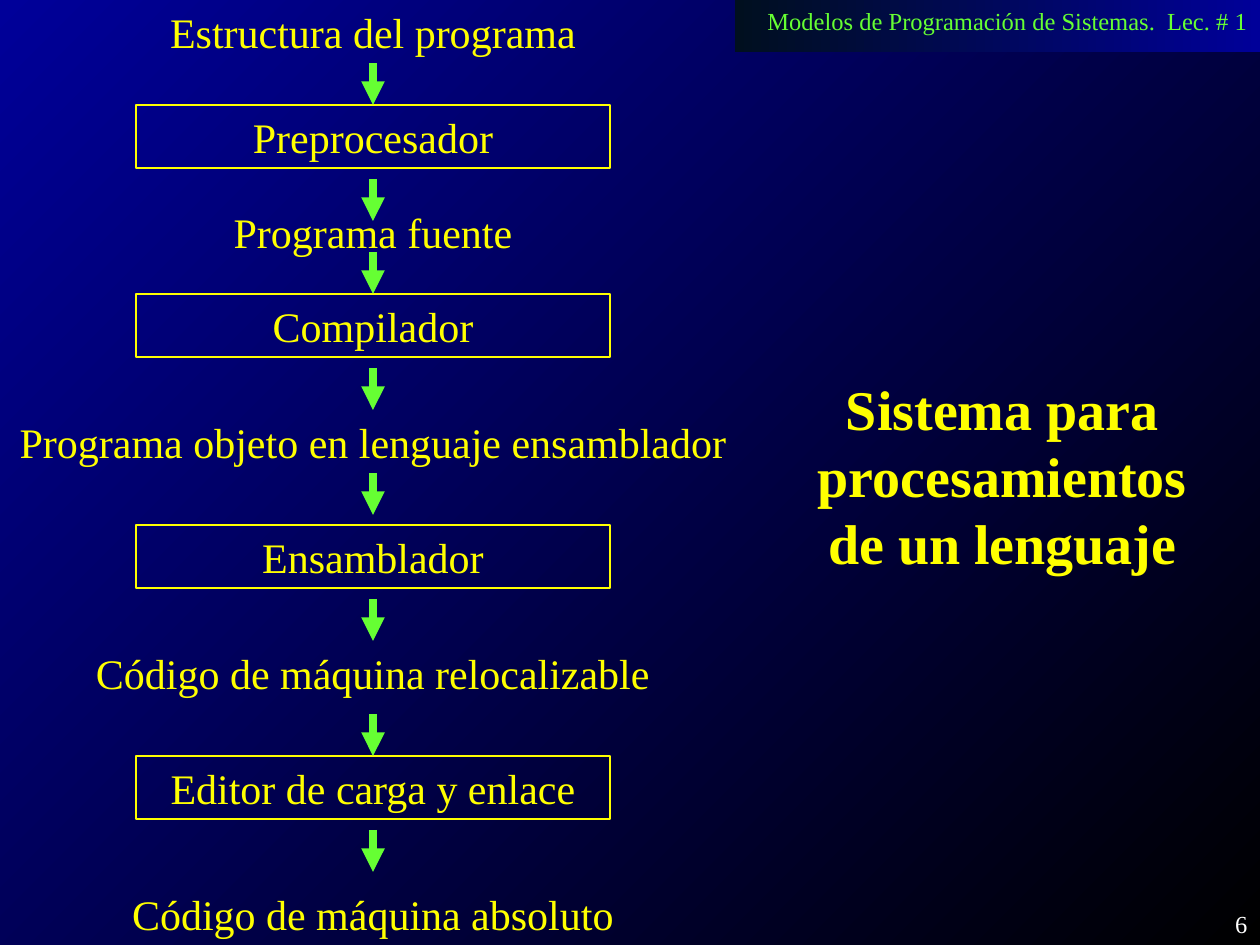
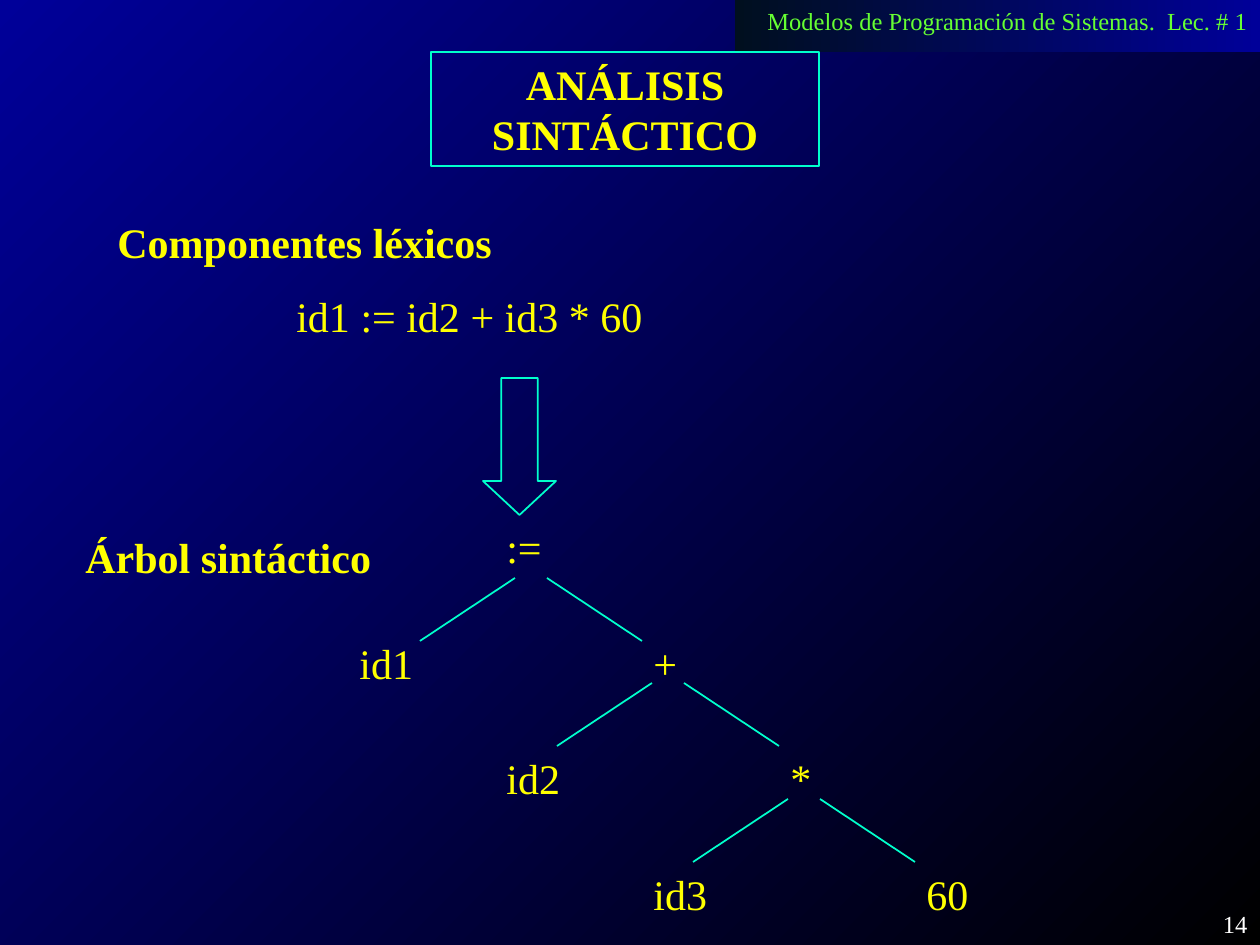
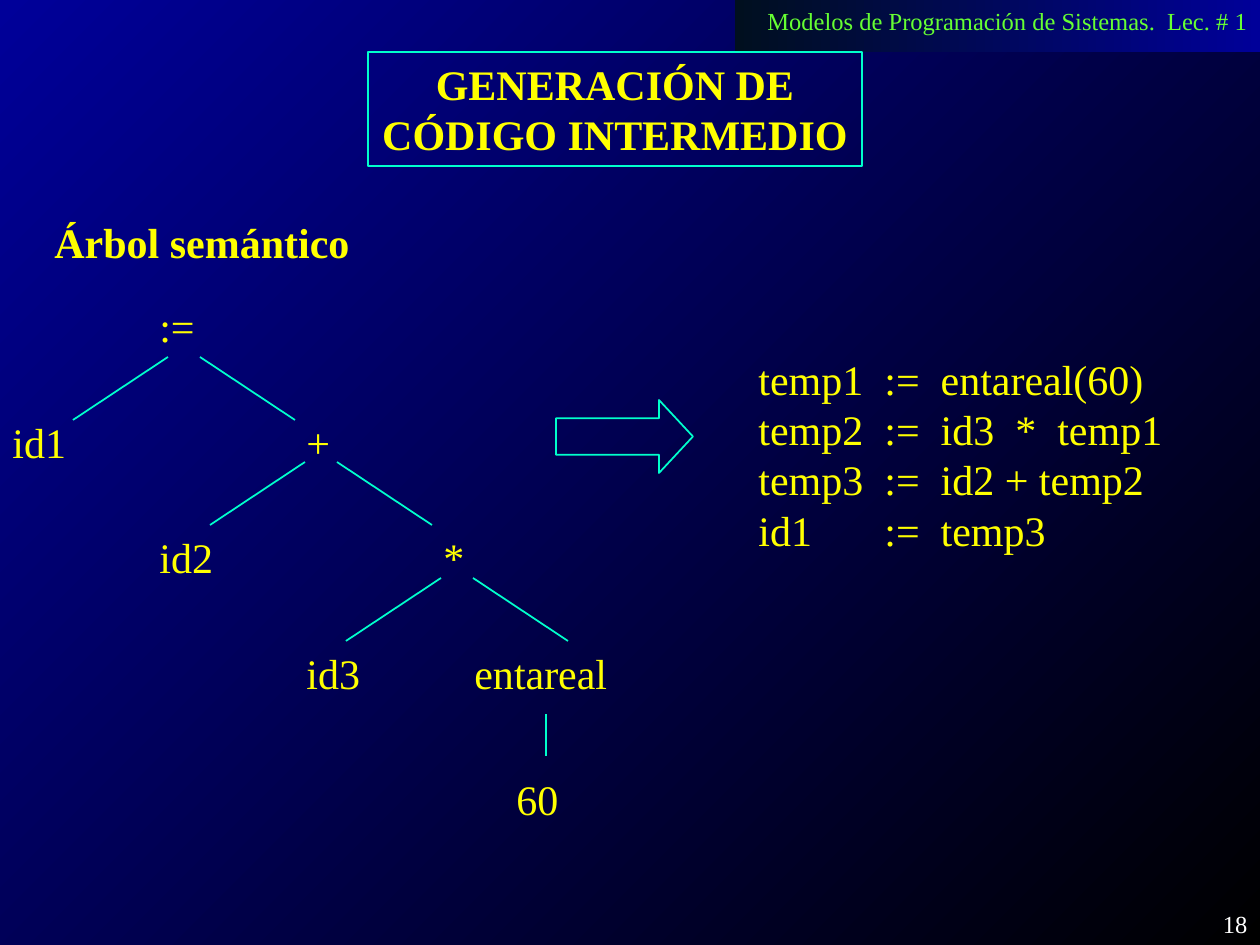
from lxml.etree import SubElement
from pptx import Presentation
from pptx.dml.color import RGBColor
from pptx.enum.shapes import MSO_CONNECTOR, MSO_SHAPE
from pptx.enum.text import MSO_ANCHOR, MSO_AUTO_SIZE, PP_ALIGN
from pptx.oxml.ns import qn
from pptx.util import Emu, Inches, Pt

BLACK = RGBColor(0x00, 0x00, 0x00)
WHITE = RGBColor(0xFF, 0xFF, 0xFF)
BLUE = RGBColor(0x00, 0x00, 0x99)
NAVY = RGBColor(0x00, 0x0F, 0x1F)
YELLOW = RGBColor(0xFF, 0xFF, 0x00)
GREEN = RGBColor(0x66, 0xFF, 0x33)
AQUA = RGBColor(0x00, 0xFF, 0xCC)
FONT = "Times New Roman"
PX_PER_INCH = 126
ROW = 63  # height of a one-line box


def px(n):
    return Emu(round(n * 914400 / PX_PER_INCH))


def place(shape, x, y, w, h):
    box = {"left": x, "top": y, "width": w, "height": h}
    for name, value in box.items():
        setattr(shape, name, px(value))


def write(shape, lines, size=24, color=YELLOW, bold=False,
          align=PP_ALIGN.LEFT, wrap=True, tab=False):
    tf = shape.text_frame
    frame = {"word_wrap": wrap, "auto_size": MSO_AUTO_SIZE.NONE,
             "vertical_anchor": MSO_ANCHOR.TOP,
             "margin_left": Inches(0.1), "margin_right": Inches(0.1),
             "margin_top": Inches(0.05), "margin_bottom": Inches(0.05)}
    for name, value in frame.items():
        setattr(tf, name, value)
    for i, line in enumerate(lines):
        p = tf.add_paragraph() if i else tf.paragraphs[0]
        p.alignment = align
        if tab:
            tabs = SubElement(p._p.get_or_add_pPr(), qn("a:tabLst"))
            SubElement(tabs, qn("a:tab"), pos=str(Inches(1)), algn="l")
        r = p.add_run()
        r.text = line
        for name, value in {"name": FONT, "size": Pt(size), "bold": bold}.items():
            setattr(r.font, name, value)
        r.font.color.rgb = color


def add_text(s, x, y, w, h, lines, **style):
    tb = s.shapes.add_textbox(px(x), px(y), px(w), px(h))
    write(tb, lines, **style)
    return tb


def outline(shape, color):
    shape.fill.background()
    shape.line.color.rgb = color
    shape.line.width = Pt(1)


def add_outlined(s, kind, x, y, w, h, color):
    sp = s.shapes.add_shape(kind, px(x), px(y), px(w), px(h))
    sp.shadow.inherit = False
    outline(sp, color)
    return sp


def add_line(s, x1, y1, x2, y2, color=AQUA, width=1, arrow=False):
    cxn = s.shapes.add_connector(MSO_CONNECTOR.STRAIGHT, px(x1), px(y1), px(x2), px(y2))
    cxn.line.color.rgb = color
    cxn.line.width = Pt(width)
    spPr = cxn.element.spPr
    if arrow:
        SubElement(spPr.find(qn("a:ln")), qn("a:tailEnd"), type="triangle")
    SubElement(spPr, qn("a:effectLst"))
    return cxn


def gradient(fill, start, end, angle):
    fill.gradient()
    fill.gradient_angle = angle
    for stop, color in zip(fill.gradient_stops, (start, end)):
        stop.color.rgb = color


def dress_master(prs, s):
    """Give the master the background and the header band, drawn first on s."""
    master = prs.slide_master
    gradient(master.background.fill, BLACK, BLUE, 135)
    band = s.shapes.add_shape(MSO_SHAPE.RECTANGLE, px(735), 0, px(525), px(52))
    band.shadow.inherit = False
    band.line.fill.background()
    gradient(band.fill, BLUE, NAVY, 180)
    header = add_text(s, 755, 0, 505, 43, ["Modelos de Programación de Sistemas.  Lec. # 1"],
                      size=14, color=GREEN, wrap=False)
    for shape_id, sp in enumerate((band, header), 101):
        sp.element.nvSpPr.cNvPr.set("id", str(shape_id))
        master.shapes.element.append(sp.element)


def add_slide(prs, number, title, title_box, size=24):
    s = prs.slides.add_slide(prs.slide_layouts[5])
    place(s.shapes.title, *title_box)
    write(s.shapes.title, title, size=size, bold=True, align=PP_ALIGN.CENTER)
    add_text(s, 998, 903, 262, 42, [number], size=14, color=WHITE, align=PP_ALIGN.RIGHT)
    return s


def add_flow(s, center, top):
    """Column of texts and boxed tools joined by arrows."""
    stages = [  # text, top, width, boxed
        ("Estructura del programa", 0, 514, False),
        ("Preprocesador", 105, 474, True),
        ("Programa fuente", 200, 316, False),
        ("Compilador", 294, 474, True),
        ("Programa objeto en lenguaje ensamblador", 410, 746, False),
        ("Ensamblador", 525, 474, True),
        ("Código de máquina relocalizable", 641, 602, False),
        ("Editor de carga y enlace", 756, 474, True),
        ("Código de máquina absoluto", 882, 516, False),
    ]
    arrow_tops = (63, 179, 252, 368, 473, 599, 714, 830)
    length = 42
    shapes = []
    for text, y, w, boxed in stages:
        box = (center - w // 2, top + y, w, ROW)
        if boxed:
            sp = add_outlined(s, MSO_SHAPE.RECTANGLE, *box, YELLOW)
            write(sp, [text], align=PP_ALIGN.CENTER)
        else:
            sp = add_text(s, *box, [text], align=PP_ALIGN.CENTER)
        shapes.append(sp)
    # Arrows are joined wherever they touch a stage
    for i, y in enumerate(arrow_tops):
        cxn = add_line(s, center, top + y, center, top + y + length, GREEN, 4.5, arrow=True)
        if y == stages[i][1] + ROW:
            cxn.begin_connect(shapes[i], 2)
        if y + length == stages[i + 1][1]:
            cxn.end_connect(shapes[i + 1], 0)


def add_tree(s, x, y, last_leaf):
    """Expression tree; last_leaf is the (text, left, width) of the right leaf."""
    nodes = [  # text, left, width, top
        (":=", 147, 73, 0),
        ("id1", 0, 95, 116), ("+", 294, 63, 116),
        ("id2", 147, 84, 231), ("*", 431, 53, 231),
        ("id3", 294, 84, 347), (*last_leaf, 347),
    ]
    for text, left, w, top in nodes:
        add_text(s, x + left, y + top, w, ROW, [text])
    # A pair of branches under each operator
    for left, top in ((168, 63), (305, 168), (441, 284)):
        for start, reach in ((left, -95), (left + 32, 95)):
            add_line(s, x + start, y + top, x + start + reach, y + top + 63)


def add_block_arrow(s, x, y, rotation=0):
    sp = add_outlined(s, MSO_SHAPE.DOWN_ARROW, x, y, 73, 137, AQUA)
    sp.adjustments[1] = 0.465
    sp.rotation = rotation


def language_system(prs):
    s = add_slide(prs, "6", ["Sistema para", "procesamientos", "de un lenguaje"],
                  (777, 368, 451, 214), size=32)
    dress_master(prs, s)
    add_flow(s, 373, 0)


def syntax_analysis(prs):
    s = add_slide(prs, "14", ["ANÁLISIS SINTÁCTICO"], (431, 52, 388, 114))
    outline(s.shapes.title, AQUA)
    add_text(s, 105, 210, 431, ROW, ["Componentes léxicos"], bold=True)
    add_text(s, 284, 284, 431, ROW, ["id1 := id2 + id3 * 60"])
    add_block_arrow(s, 483, 378)
    add_text(s, 73, 525, 431, ROW, ["Árbol sintáctico"], bold=True)
    add_tree(s, 347, 515, ("60", 567, 84))


def intermediate_code(prs):
    s = add_slide(prs, "18", ["GENERACIÓN DE CÓDIGO INTERMEDIO"], (368, 52, 494, 114))
    outline(s.shapes.title, AQUA)
    add_text(s, 42, 210, 431, ROW, ["Árbol semántico"], bold=True)
    add_tree(s, 0, 294, ("entareal", 462, 168))
    # Argument of entareal
    add_line(s, 546, 714, 546, 756)
    add_text(s, 504, 767, 84, ROW, ["60"])
    add_block_arrow(s, 588, 368, rotation=270)
    add_text(s, 746, 347, 462, 214,
             ["temp1\t:=  entareal(60)", "temp2\t:=  id3  *  temp1",
              "temp3\t:=  id2 + temp2", "id1\t:=  temp3"], tab=True)


def main():
    prs = Presentation()
    prs.slide_width, prs.slide_height = Inches(10), Inches(7.5)
    language_system(prs)
    syntax_analysis(prs)
    intermediate_code(prs)
    prs.save("out.pptx")


if __name__ == "__main__":
    main()
